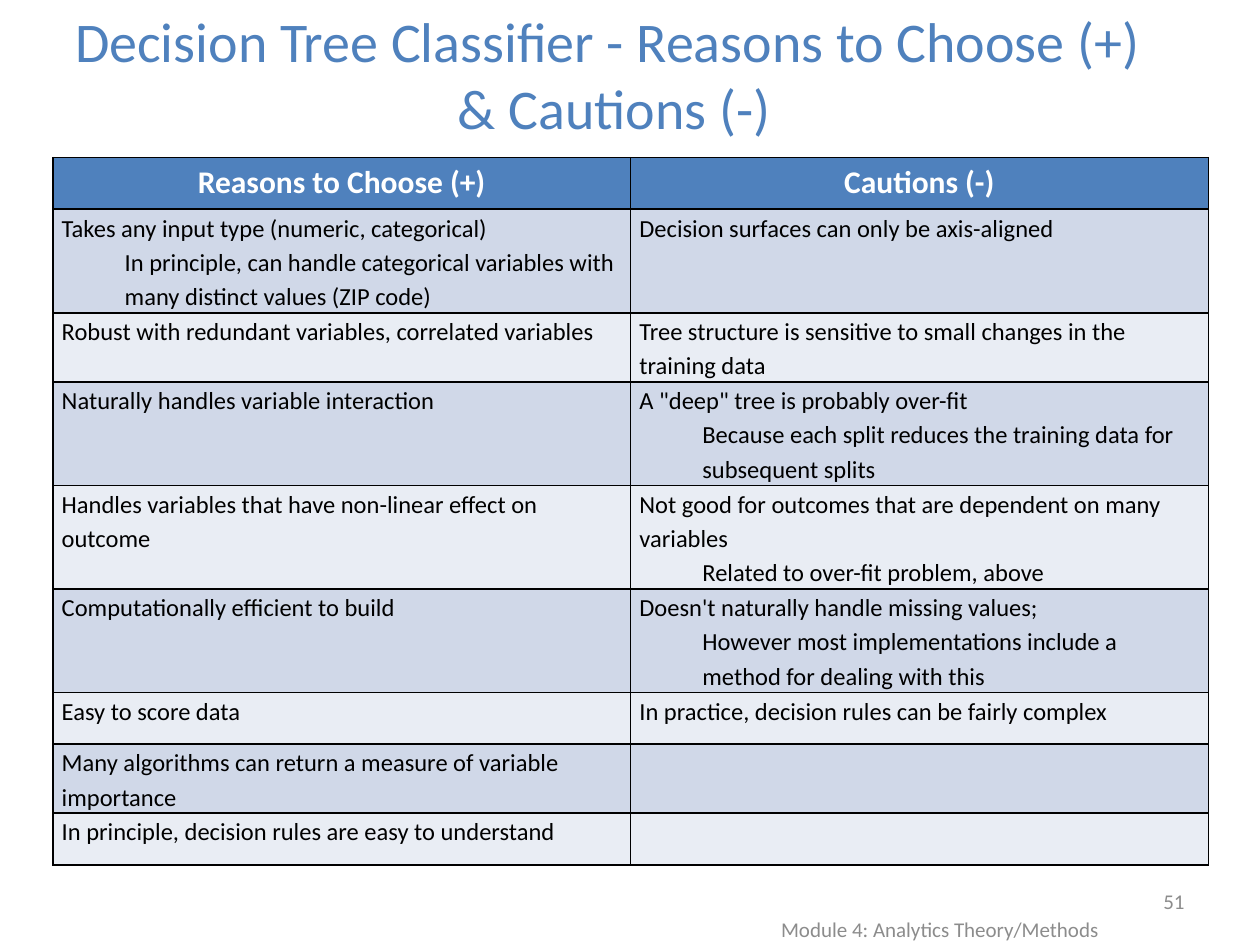
from lxml import etree
from pptx import Presentation
from pptx.dml.color import RGBColor
from pptx.enum.text import MSO_ANCHOR, PP_ALIGN
from pptx.oxml.ns import qn
from pptx.util import Inches, Pt

LEFT, CENTER, RIGHT = PP_ALIGN.LEFT, PP_ALIGN.CENTER, PP_ALIGN.RIGHT
MIDDLE = MSO_ANCHOR.MIDDLE
FONT = "Calibri"
BLUE, WHITE, BLACK, GRAY = "4F81BD", "FFFFFF", "000000", "8C8C8C"
BANDS = ("D0D8E8", "E9EDF4")

HEADERS = ("Reasons to Choose (+)", "Cautions (-)")
ROW_UNIT = 0.137
# Height in row units, then each column's lines; lines after the first are indented.
ROWS = [
    (6, ["Takes any input type (numeric, categorical)",
         "In principle, can handle categorical variables with many distinct values (ZIP code)"],
     ["Decision surfaces can only be axis-aligned"]),
    (4, ["Robust with redundant variables, correlated variables"],
     ["Tree structure is sensitive to small changes in the training data"]),
    (6, ["Naturally handles variable interaction"],
     ['A "deep" tree is probably over-fit',
      "Because each split reduces the training data for subsequent splits"]),
    (6, ["Handles variables that have non-linear effect on outcome"],
     ["Not good for outcomes that are dependent on many variables",
      "Related to over-fit problem, above"]),
    (6, ["Computationally efficient to build"],
     ["Doesn't naturally handle missing values;",
      "However most implementations include a method for dealing with this"]),
    (3, ["Easy to score data"],
     ["In practice, decision rules can be fairly complex"]),
    (4, ["Many algorithms can return a measure of variable importance"], []),
    (3, ["In principle, decision rules are easy to understand"], []),
]


def rgb(color):
    return RGBColor.from_string(color)


def write(p, text, size=14, color=BLACK, bold=False, align=LEFT, spacing=None, indent=0):
    p.text = text
    p.alignment = align
    if spacing:
        p.line_spacing = spacing
    if indent:
        p._p.get_or_add_pPr().set("marL", str(Inches(indent)))
    for r in p.runs:
        r.font.name, r.font.size, r.font.bold = FONT, Pt(size), bold
        r.font.color.rgb = rgb(color)


def text_box(slide, box, text, **fmt):
    tf = slide.shapes.add_textbox(*map(Inches, box)).text_frame
    tf.word_wrap = True
    tf.vertical_anchor = MIDDLE
    write(tf.paragraphs[0], text, **fmt)


def border(cell, color=BLACK, width=1):
    tcPr = cell._tc.get_or_add_tcPr()
    for i, side in enumerate(("lnL", "lnR", "lnT", "lnB")):
        ln = etree.Element(qn(f"a:{side}"), w=str(Pt(width)))
        fill = etree.SubElement(ln, qn("a:solidFill"))
        etree.SubElement(fill, qn("a:srgbClr"), val=color)
        tcPr.insert(i, ln)


def fill_cell(cell, lines, fill, **fmt):
    cell.margin_left = cell.margin_right = Inches(0.07)
    cell.margin_top = cell.margin_bottom = 0
    cell.fill.solid()
    cell.fill.fore_color.rgb = rgb(fill)
    border(cell)
    tf = cell.text_frame
    for i, line in enumerate(lines):
        p = tf.add_paragraph() if i else tf.paragraphs[0]
        write(p, line, spacing=1.15, indent=0.5 if i else 0, **fmt)


def comparison_table(slide, box):
    heights = [3] + [row[0] for row in ROWS]
    table = slide.shapes.add_table(len(heights), len(HEADERS), *map(Inches, box)).table
    for row, units in zip(table.rows, heights):
        row.height = Inches(units * ROW_UNIT)
    for c, header in enumerate(HEADERS):
        table.columns[c].width = Inches(box[2] / len(HEADERS))
        fill_cell(table.cell(0, c), [header], BLUE,
                  size=18, color=WHITE, bold=True, align=CENTER)
        for r, row in enumerate(ROWS):
            fill_cell(table.cell(r + 1, c), row[c + 1], BANDS[r % 2])


def footer(slide, w, h):
    text_box(slide, (w - 4.83, h - 0.25, 4.58, 0.25), "Module 4: Analytics Theory/Methods",
             size=12, color=GRAY, align=CENTER)
    text_box(slide, (w - 2.83, h - 0.55, 2.33, 0.4), "51", size=12, color=GRAY, align=RIGHT)


def main():
    w, h = 10, 7.5
    prs = Presentation()
    prs.slide_width, prs.slide_height = Inches(w), Inches(h)
    s = prs.slides.add_slide(prs.slide_layouts[6])
    comparison_table(s, (0.42, 1.25, 9.17, 41 * ROW_UNIT))
    text_box(s, (0.25, 0.17, 9.25, 0.83),
             "Decision Tree Classifier - Reasons to Choose (+) \n& Cautions (-)",
             size=32, color=BLUE, align=CENTER)
    footer(s, w, h)
    prs.save("out.pptx")


if __name__ == "__main__":
    main()
